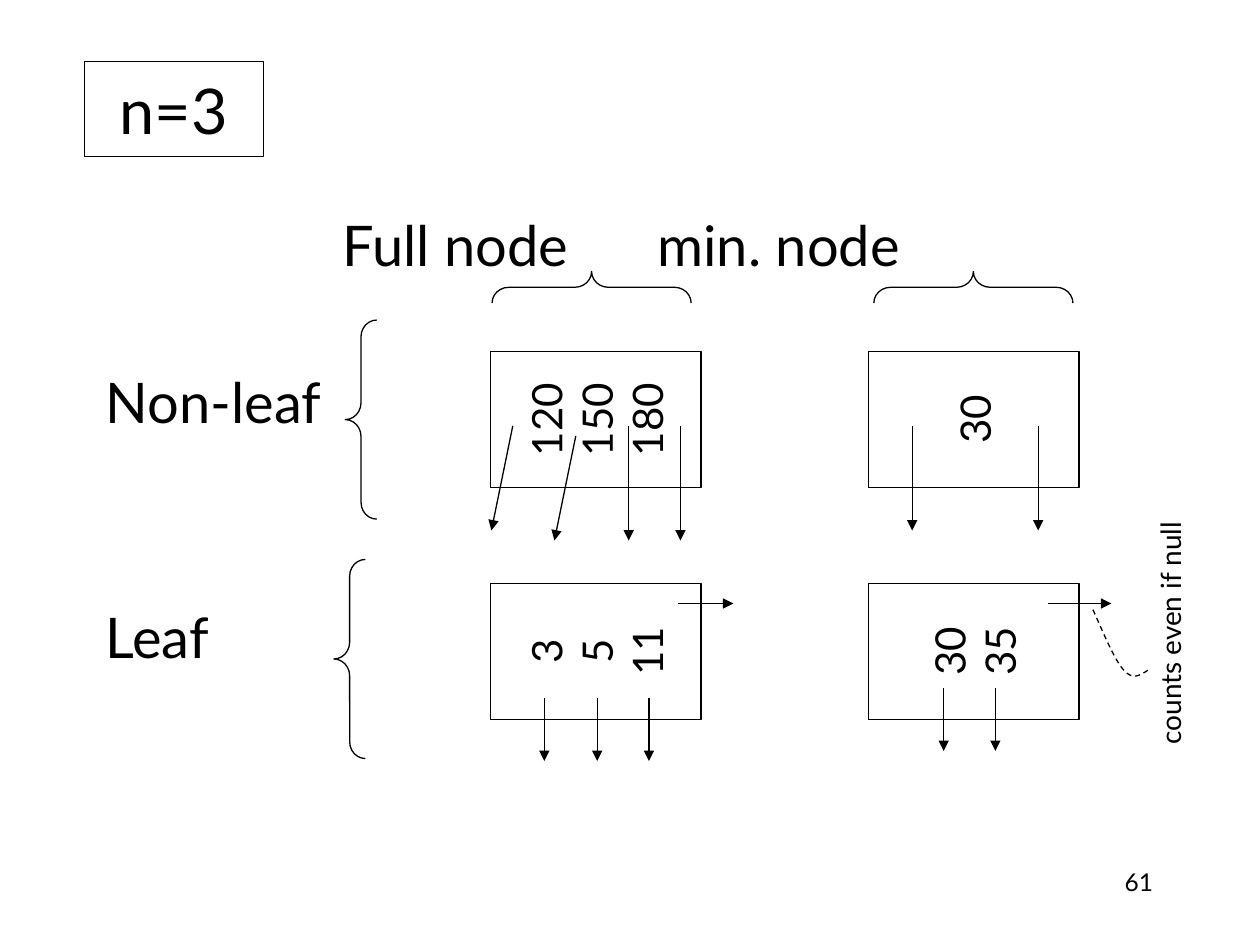
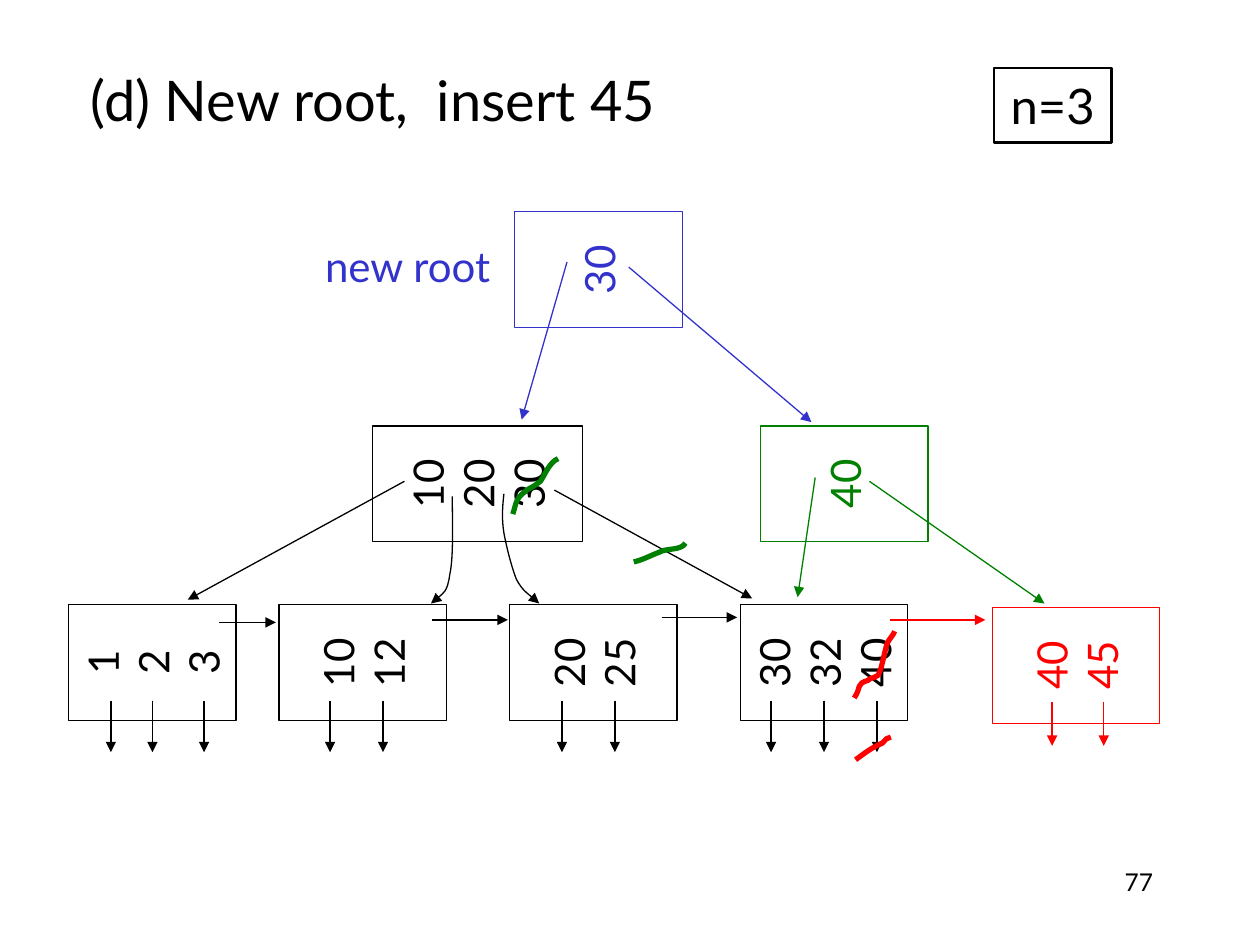
from lxml import etree
from pptx import Presentation
from pptx import util as u
from pptx.dml.color import RGBColor
from pptx.enum import dml, shapes, text
from pptx.oxml.ns import qn

COLORS = {
    "black": "000000",
    "white": "FFFFFF",
    "red": "FF0000",
    "green": "008000",
    "blue": "3333CC",
}
FONT = "Lato"
THIN = 0.75
BOLD_STROKE = 3
LEFT, CENTER, RIGHT = text.PP_ALIGN.LEFT, text.PP_ALIGN.CENTER, text.PP_ALIGN.RIGHT
TOP, MIDDLE = text.MSO_ANCHOR.TOP, text.MSO_ANCHOR.MIDDLE


def write(shape, lines, size, color="black", align=CENTER, anchor=MIDDLE):
    """Put one paragraph per line into the shape; only centred text is left unwrapped."""
    frame = shape.text_frame
    frame.auto_size = text.MSO_AUTO_SIZE.NONE
    frame.word_wrap = align != CENTER
    frame.vertical_anchor = anchor
    for index, line in enumerate(lines):
        paragraph = frame.add_paragraph() if index else frame.paragraphs[0]
        paragraph.alignment = align
        run = paragraph.add_run()
        run.text = line
        run.font.name = FONT
        run.font.size = u.Pt(size)
        run.font.color.rgb = RGBColor.from_string(COLORS[color])


def add_stroke(slide, points, color="black", width=THIN, arrow=True, dashed=False):
    """Join two points with a connector, or draw a chain of cubic Bezier curves."""
    places = [(u.Inches(x), u.Inches(y)) for x, y in points]
    if len(places) == 2:
        stroke = slide.shapes.add_connector(
            shapes.MSO_CONNECTOR.STRAIGHT, *places[0], *places[1])
    else:
        builder = slide.shapes.build_freeform(*places[0])
        builder.add_line_segments(places[1:], close=False)
        stroke = builder.convert_to_shape()
        stroke.fill.background()
        segments = list(stroke.element.iter(qn("a:lnTo")))
        for first in range(0, len(segments), 3):
            curve = etree.Element(qn("a:cubicBezTo"))
            segments[first].addprevious(curve)
            for segment in segments[first:first + 3]:
                curve.append(segment[0])
                segment.getparent().remove(segment)
    stroke.line.color.rgb = RGBColor.from_string(COLORS[color])
    stroke.line.width = u.Pt(width)
    if dashed:
        stroke.line.dash_style = dml.MSO_LINE.DASH
    properties = stroke.element.spPr
    if arrow:
        etree.SubElement(properties.find(qn("a:ln")), qn("a:tailEnd"), type="triangle")
    etree.SubElement(properties, qn("a:effectLst"))


presentation = Presentation()
presentation.slide_width = u.Inches(10)
presentation.slide_height = u.Inches(7.5)
sizes_slide = presentation.slides.add_slide(presentation.slide_layouts[6])
insert_slide = presentation.slides.add_slide(presentation.slide_layouts[5])

title = insert_slide.shapes.title
title.left, title.top = u.Inches(0.62), u.Inches(0.47)
title.width, title.height = u.Inches(5.31), u.Inches(0.72)
write(title, ["(d) New root,  insert 45"], 32, align=LEFT, anchor=TOP)

# Page numbers
for slide, number in ((sizes_slide, "61"), (insert_slide, "77")):
    page_number = slide.shapes.add_textbox(
        u.Inches(7.17), u.Inches(6.83), u.Inches(2.08), u.Inches(0.5))
    write(page_number, [number], 14, align=RIGHT, anchor=TOP)

# Column and row labels, with a hanging indent and room between the rows
labels = sizes_slide.shapes.add_textbox(
    u.Inches(0.74), u.Inches(1.62), u.Inches(8.5), u.Inches(4.5))
write(labels, ["\t\t\t\tFull node\t\tmin. node", "Non-leaf", "Leaf"], 32, align=LEFT, anchor=TOP)
for paragraph, space in zip(labels.text_frame.paragraphs, (0, 51.2, 96)):
    paragraph.space_before = u.Pt(space)
for paragraph_format in labels.element.iter(qn("a:pPr")):
    paragraph_format.set("marL", str(u.Inches(0.38)))
    paragraph_format.set("indent", str(u.Inches(-0.38)))

# Boxes that state the order of the tree
for slide, left, top, width, height, size, outline in (
    (sizes_slide, 0.67, 0.49, 1.42, 0.75, 36, THIN),
    (insert_slide, 7.89, 0.54, 0.93, 0.59, 28, 1.5),
):
    order_box = slide.shapes.add_shape(
        shapes.MSO_SHAPE.RECTANGLE,
        u.Inches(left), u.Inches(top), u.Inches(width), u.Inches(height))
    order_box.shadow.inherit = False
    order_box.fill.solid()
    order_box.fill.fore_color.rgb = RGBColor.from_string(COLORS["white"])
    order_box.line.color.rgb = RGBColor.from_string(COLORS["black"])
    order_box.line.width = u.Pt(outline)
    write(order_box, ["n=3"], size)

# Tree nodes: centre, width and height as seen, keys
for slide, center_x, center_y, width, height, keys, color in (
    (sizes_slide, 4.73, 3.33, 1.67, 1.08, ["120", "150", "180"], "black"),
    (sizes_slide, 7.73, 3.33, 1.67, 1.08, ["30"], "black"),
    (sizes_slide, 4.73, 5.17, 1.67, 1.08, ["3", "5", "11"], "black"),
    (sizes_slide, 7.73, 5.17, 1.67, 1.08, ["30", "35"], "black"),
    (insert_slide, 3.79, 3.84, 1.67, 0.92, ["10", "20", "30"], "black"),
    (insert_slide, 1.21, 5.26, 1.33, 0.92, ["1", "2", "3"], "black"),
    (insert_slide, 2.88, 5.26, 1.33, 0.92, ["10", "12"], "black"),
    (insert_slide, 4.71, 5.26, 1.33, 0.92, ["20", "25"], "black"),
    (insert_slide, 6.54, 5.26, 1.33, 0.92, ["30", "32", "40"], "black"),
    (insert_slide, 8.54, 5.28, 1.33, 0.92, ["40", "45"], "red"),
    (insert_slide, 6.7, 3.84, 1.33, 0.92, ["40"], "green"),
    (insert_slide, 4.75, 2.14, 1.33, 0.92, ["30"], "blue"),
):
    node = slide.shapes.add_shape(
        shapes.MSO_SHAPE.RECTANGLE,
        u.Inches(center_x - height / 2), u.Inches(center_y - width / 2),
        u.Inches(height), u.Inches(width))
    node.rotation = 270
    node.shadow.inherit = False
    node.fill.solid()
    node.fill.fore_color.rgb = RGBColor.from_string(COLORS["white"])
    node.line.color.rgb = RGBColor.from_string(COLORS[color])
    node.line.width = u.Pt(THIN)
    write(node, keys, 24, color)

# Braces beside the rows and above the columns
for left, top, rotation in ((2.74, 2.54, 0), (2.65, 4.44, 0), (4.57, 1.49, 90), (7.6, 1.49, 90)):
    brace = sizes_slide.shapes.add_shape(
        shapes.MSO_SHAPE.LEFT_BRACE,
        u.Inches(left), u.Inches(top), u.Inches(0.25), u.Inches(1.58))
    brace.adjustments[0] = 0.53
    brace.rotation = rotation
    brace.shadow.inherit = False
    brace.fill.background()
    brace.line.color.rgb = RGBColor.from_string(COLORS["black"])
    brace.line.width = u.Pt(THIN)

# Free-standing notes
for slide, left, top, width, height, note, size, color, rotation in (
    (sizes_slide, 8.29, 4.84, 1.99, 0.37, "counts even if null", 16, "black", 270),
    (insert_slide, 2.48, 1.86, 1.51, 0.5, "new root", 24, "blue", 0),
):
    note_box = slide.shapes.add_textbox(
        u.Inches(left), u.Inches(top), u.Inches(width), u.Inches(height))
    note_box.rotation = rotation
    write(note_box, [note], size, color)

# Vertical pointers that leave the bottom of a node
for slide, pointer_xs, top, bottom, color in (
    (sizes_slide, (7.24, 8.24), 3.38, 4.21, "black"),
    (sizes_slide, (4.99, 5.4), 3.38, 4.29, "black"),
    (sizes_slide, (4.32, 4.74, 5.15), 5.54, 6.04, "black"),
    (sizes_slide, (7.49, 7.9), 5.46, 5.96, "black"),
    (insert_slide, (0.88, 1.21, 1.62, 2.62, 3.04, 4.46, 4.88, 6.12, 6.54, 6.96),
     5.56, 5.97, "black"),
    (insert_slide, (8.35, 8.76), 5.57, 5.92, "red"),
):
    for x in pointer_xs:
        add_stroke(slide, [(x, top), (x, bottom)], color)

# Horizontal links to the next leaf
for slide, start_x, end_x, y, color in (
    (sizes_slide, 5.38, 5.82, 4.79, "black"),
    (sizes_slide, 8.32, 8.82, 4.79, "black"),
    (insert_slide, 1.74, 2.19, 4.94, "black"),
    (insert_slide, 3.43, 4.03, 4.92, "black"),
    (insert_slide, 5.25, 5.85, 4.9, "black"),
    (insert_slide, 7.06, 7.82, 4.92, "red"),
):
    add_stroke(slide, [(start_x, y), (end_x, y)], color)

# Slanted and curved pointers to child nodes
for slide, points, color in (
    (sizes_slide, [(4.07, 3.38), (3.9, 4.21)], "black"),
    (sizes_slide, [(4.57, 3.46), (4.4, 4.29)], "black"),
    (insert_slide, [(3.21, 3.82), (1.49, 4.76)], "black"),
    (insert_slide, [(4.4, 3.89), (5.97, 4.75)], "black"),
    (insert_slide, [(3.59, 3.94), (3.59, 4.18), (3.6, 4.42), (3.57, 4.56),
                    (3.55, 4.7), (3.48, 4.74), (3.42, 4.79)], "black"),
    (insert_slide, [(4, 3.92), (3.99, 4.01), (3.98, 4.11), (4, 4.23), (4.02, 4.34),
                    (4.06, 4.5), (4.1, 4.6), (4.15, 4.69), (4.25, 4.76), (4.28, 4.79)], "black"),
    (insert_slide, [(6.47, 3.79), (6.33, 4.74)], "green"),
    (insert_slide, [(6.9, 3.82), (8.29, 4.79)], "green"),
    (insert_slide, [(4.5, 2.08), (4.14, 3.33)], "blue"),
    (insert_slide, [(4.99, 2.12), (6.44, 3.35)], "blue"),
):
    add_stroke(slide, points, color)

# Dashed tie from the note to the null link
add_stroke(sizes_slide, [(9.11, 5.32), (9.05, 5.36), (8.99, 5.4), (8.92, 5.32),
                         (8.84, 5.24), (8.71, 4.91), (8.67, 4.83)], arrow=False, dashed=True)

# Marks that strike out moved keys and pointers
for points, color in (
    ([(6.78, 5.54), (6.84, 5.45), (6.79, 5.43), (6.89, 5.4), (6.9, 5.39), (6.91, 5.38),
      (6.93, 5.38), (6.94, 5.37), (6.96, 5.37), (6.97, 5.36), (6.98, 5.35), (6.98, 5.32),
      (6.99, 5.31), (7.01, 5.24), (7.02, 5.18), (7.04, 5.11), (7.05, 5.08), (7.1, 5.03),
      (7.1, 5.01)], "red"),
    ([(6.79, 6.03), (6.86, 5.98), (6.92, 5.93), (7, 5.9), (7.05, 5.85), (7.02, 5.87),
      (7.07, 5.85)], "red"),
    ([(4.07, 4.08), (4.1, 3.99), (4.09, 3.96), (4.17, 3.9), (4.19, 3.88), (4.22, 3.87),
      (4.25, 3.85), (4.26, 3.84), (4.29, 3.82), (4.29, 3.82), (4.33, 3.76), (4.36, 3.67),
      (4.43, 3.64)], "green"),
    ([(5.03, 4.46), (5.11, 4.44), (5.16, 4.41), (5.24, 4.38), (5.29, 4.35), (5.41, 4.37),
      (5.44, 4.31)], "green"),
):
    add_stroke(insert_slide, points, color, BOLD_STROKE, arrow=False)

presentation.save("out.pptx")
